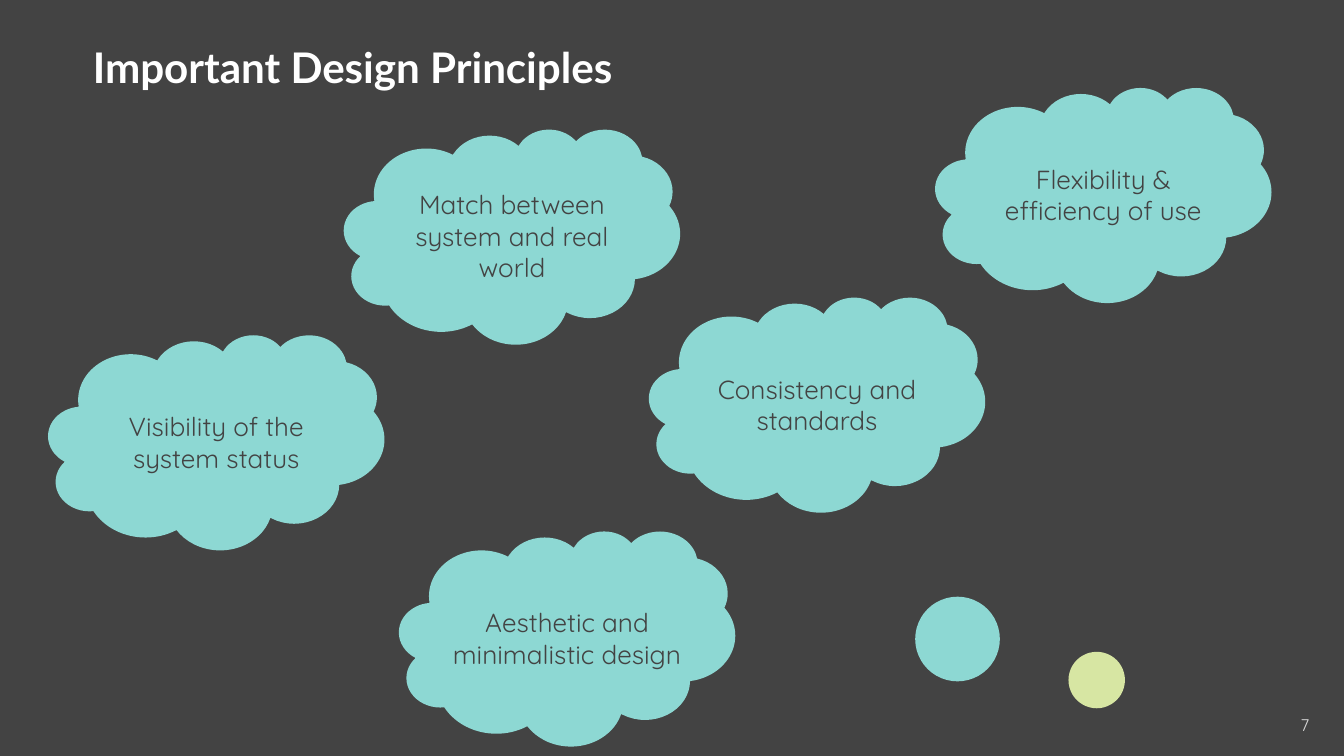
import pptx
import pptx.util
import pptx.dml.color
import pptx.enum.shapes
import pptx.enum.text

Inches = pptx.util.Inches
Shapes = pptx.enum.shapes.MSO_SHAPE
Align = pptx.enum.text.PP_ALIGN
Anchor = pptx.enum.text.MSO_ANCHOR

DARK, TEAL, LIME = "434343", "8DD8D3", "D7E6A3"


def paint(fill, color):
    fill.solid()
    fill.fore_color.rgb = pptx.dml.color.RGBColor.from_string(color)


def add_text(shapes, text, left, top, width, height, font, size, color, align):
    box = shapes.add_textbox(Inches(left), Inches(top), Inches(width), Inches(height))
    frame = box.text_frame
    frame.word_wrap = True
    frame.margin_left = frame.margin_right = Inches(0.1)
    frame.margin_top = frame.margin_bottom = Inches(0.1)
    para = frame.paragraphs[0]
    para.text = text
    para.alignment = align
    para.font.name = font
    para.font.size = pptx.util.Pt(size)
    paint(para.font.fill, color)
    return box


# Widescreen page, 16:9
deck = pptx.Presentation()
deck.slide_width = Inches(10)
deck.slide_height = Inches(10 * 9 / 16)
page = deck.slides.add_slide(deck.slide_layouts[6])
paint(page.background.fill, DARK)

# Title and page number
title = add_text(page.shapes, "Important Design Principles", 0.36, 0.21, 4.53, 0.89,
                 "Lato", 22.6, "FFFFFF", Align.CENTER)
title.text_frame.paragraphs[0].font.bold = True
number = add_text(page.shapes, "7", 9.24, 5.18, 0.6, 0.43,
                  "Quicksand", 9, "D9D9D9", Align.RIGHT)
number.text_frame.vertical_anchor = Anchor.MIDDLE

# Decorative dots
for left, top, size, color in [(6.81, 4.44, 0.63, TEAL), (7.95, 4.85, 0.42, LIME)]:
    dot = page.shapes.add_shape(Shapes.OVAL, Inches(left), Inches(top),
                                Inches(size), Inches(size))
    dot.shadow.inherit = False
    paint(dot.fill, color)
    dot.line.fill.background()

# Principles: each a cloud grouped with a label centred on it
cloud_width, cloud_height, label_width = 2.5, 1.6, 1.93
principles = [
    ("Visibility of the system status", 0.36, 2.49, 0.67),
    ("Match between system and real world", 2.56, 0.96, 0.91),
    ("Consistency and standards", 4.83, 2.21, 0.67),
    ("Flexibility & efficiency of use", 6.96, 0.65, 0.67),
    ("Aesthetic and minimalistic design", 2.97, 3.95, 0.67),
]
for text, left, top, label_height in principles:
    group = page.shapes.add_group_shape()
    cloud = group.shapes.add_shape(Shapes.CLOUD, Inches(left), Inches(top),
                                   Inches(cloud_width), Inches(cloud_height))
    cloud.shadow.inherit = False
    paint(cloud.fill, TEAL)
    cloud.line.fill.background()
    label = add_text(group.shapes, text, left + (cloud_width - label_width) / 2,
                     top + (cloud_height - label_height) / 2, label_width, label_height,
                     "Quicksand", 14, DARK, Align.CENTER)
    label.text_frame.auto_size = pptx.enum.text.MSO_AUTO_SIZE.SHAPE_TO_FIT_TEXT

deck.save("out.pptx")
